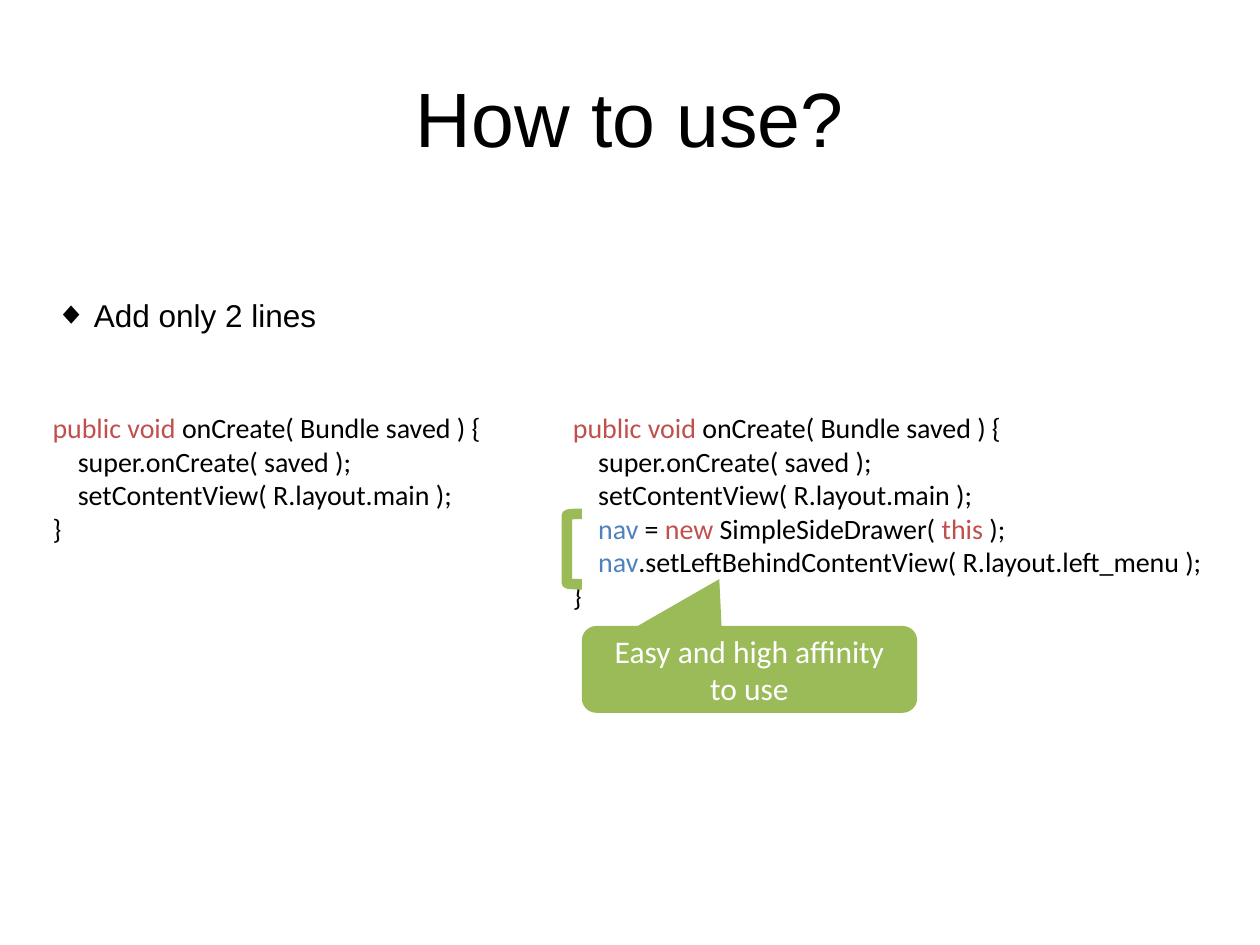
from lxml.etree import SubElement
from pptx import Presentation
from pptx.dml.color import RGBColor
from pptx.enum.shapes import MSO_SHAPE as Shape
from pptx.enum.text import MSO_ANCHOR as Anchor, MSO_AUTO_SIZE as AutoSize, PP_ALIGN as Align
from pptx.oxml.ns import qn
from pptx.util import Cm, Pt

BLACK = RGBColor(0x00, 0x00, 0x00)
WHITE = RGBColor(0xFF, 0xFF, 0xFF)
RED = RGBColor(0xC0, 0x50, 0x4D)
BLUE = RGBColor(0x4F, 0x81, 0xBD)
GREEN = RGBColor(0x9B, 0xBB, 0x59)

# Code lines: (indent level, [(text, colour), ...])
OPENING = [
    (0, [("public void ", RED), ("onCreate( Bundle saved ) {", BLACK)]),
    (1, [("super.onCreate( saved );", BLACK)]),
    (1, [("setContentView( R.layout.main );", BLACK)]),
]
DRAWER_LINES = [
    (1, [("nav ", BLUE), ("= ", BLACK), ("new ", RED),
         ("SimpleSideDrawer( ", BLACK), ("this", RED), (" );", BLACK)]),
    (1, [("nav", BLUE), (".setLeftBehindContentView( R.layout.left_menu );", BLACK)]),
]
CLOSING = [(0, [("}", BLACK)])]


class SlideWriter:
    heading_font = "Arial"
    code_font = "Calibri"
    code_indent = Cm(0.51)
    bullet_indent = Cm(0.78)

    def __init__(self, slide):
        self.slide = slide

    def add_run(self, paragraph, text, font, size, color):
        run = paragraph.add_run()
        run.text = text
        run.font.name = font
        run.font.size = Pt(size)
        run.font.color.rgb = color

    def place(self, shape, left, top, width, height):
        shape.left, shape.top = Cm(left), Cm(top)
        shape.width, shape.height = Cm(width), Cm(height)

    def title(self, text, *box):
        heading = self.slide.shapes.title
        self.place(heading, *box)
        heading.text_frame.vertical_anchor = Anchor.MIDDLE
        paragraph = heading.text_frame.paragraphs[0]
        paragraph.alignment = Align.CENTER
        self.add_run(paragraph, text, self.heading_font, 44, BLACK)

    def bullet(self, text, *box):
        body = self.slide.placeholders[1]
        self.place(body, *box)
        body.text_frame.auto_size = AutoSize.NONE
        body.text_frame.word_wrap = False
        paragraph = body.text_frame.paragraphs[0]
        paragraph.space_before = Pt(0)
        properties = paragraph._p.get_or_add_pPr()
        properties.set("marL", str(self.bullet_indent))
        properties.set("indent", str(-self.bullet_indent))
        SubElement(properties, qn("a:buFont"), typeface=self.heading_font)
        SubElement(properties, qn("a:buChar"), char="◆")
        self.add_run(paragraph, text, self.heading_font, 18, BLACK)

    def code(self, lines, *box):
        frame = self.slide.shapes.add_textbox(*map(Cm, box)).text_frame
        frame.word_wrap = False
        for number, (level, parts) in enumerate(lines):
            paragraph = frame.add_paragraph() if number else frame.paragraphs[0]
            paragraph._p.get_or_add_pPr().set("marL", str(level * self.code_indent))
            for text, color in parts:
                self.add_run(paragraph, text, self.code_font, 16, color)

    def bracket(self, *box):
        bracket = self.slide.shapes.add_shape(Shape.LEFT_BRACKET, *map(Cm, box))
        bracket.shadow.inherit = False
        bracket.fill.background()
        bracket.line.color.rgb = GREEN
        bracket.line.width = Pt(6)

    def callout(self, text, pointer, *box):
        callout = self.slide.shapes.add_shape(
            Shape.ROUNDED_RECTANGULAR_CALLOUT, *map(Cm, box))
        callout.shadow.inherit = False
        callout.adjustments[0], callout.adjustments[1] = pointer
        callout.fill.solid()
        callout.fill.fore_color.rgb = GREEN
        callout.line.fill.background()
        callout.text_frame.word_wrap = True
        callout.text_frame.vertical_anchor = Anchor.MIDDLE
        paragraph = callout.text_frame.paragraphs[0]
        paragraph.alignment = Align.CENTER
        self.add_run(paragraph, text, self.code_font, 18, WHITE)


def main():
    deck = Presentation()
    deck.slide_width, deck.slide_height = Cm(25.4), Cm(19.05)
    writer = SlideWriter(deck.slides.add_slide(deck.slide_layouts[1]))

    # Heading and claim
    writer.title("How to use?", 1.27, 0.76, 22.86, 3.18)
    writer.bullet("Add only 2 lines", 0.86, 5.84, 5.82, 1.02)

    # Code before and after
    writer.code(OPENING + CLOSING, 0.81, 8.15, 9.3, 3.07)
    writer.code(OPENING + DRAWER_LINES + CLOSING, 11.3, 8.15, 13.41, 4.37)

    # Marking of the two added lines
    writer.bracket(11.43, 10.36, 0.3, 1.42)
    writer.callout("Easy and high affinity to use", (-0.09, -1.04),
                   11.73, 12.62, 6.76, 1.75)

    deck.save("out.pptx")


if __name__ == "__main__":
    main()
